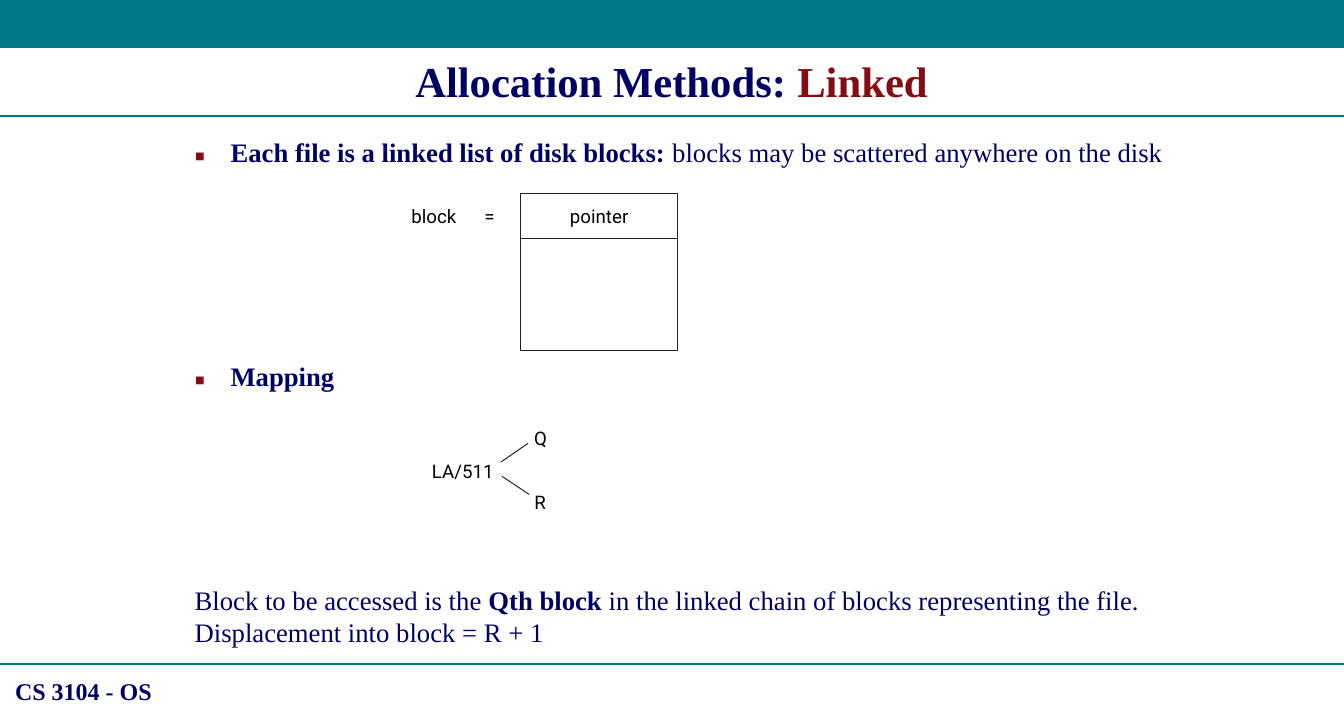
"""Build the slide on linked file allocation."""
from lxml.etree import SubElement
from pptx import Presentation
from pptx.dml.color import RGBColor
from pptx.enum.shapes import MSO_CONNECTOR, MSO_SHAPE
from pptx.enum.text import MSO_ANCHOR, PP_ALIGN
from pptx.oxml.ns import qn
from pptx.util import Cm, Pt

COLOURS = {"teal": "007787", "navy": "000066", "maroon": "850D11",
           "ink": "231F20", "black": "000000", "white": "FFFFFF"}
SERIF, SANS, SYMBOLS = "Times New Roman", "Roboto", "Noto Sans Symbols"
WIDTH, HEIGHT = 35.56, 19.05
LINE = 24


def colour(name):
    return RGBColor.from_string(COLOURS[name])


def write(para, text, *, size=20, font=SERIF, ink="navy", bold=False):
    span = para.add_run()
    span.text = text
    span.font.size = Pt(size)
    span.font.name = font
    span.font.bold = bold
    span.font.color.rgb = colour(ink)


class Slide:
    def __init__(self, page):
        self.page = page
        self.label_style = {"size": 14, "font": SANS, "ink": "black"}

    def rectangle(self, left, top, width, height, fill, line=None):
        box = self.page.shapes.add_shape(
            MSO_SHAPE.RECTANGLE, Cm(left), Cm(top), Cm(width), Cm(height))
        box.shadow.inherit = False
        box.fill.solid()
        box.fill.fore_color.rgb = colour(fill)
        if line:
            box.line.color.rgb = colour(line)
            box.line.width = Pt(0.75)
        else:
            box.line.fill.background()
        return box

    def line(self, start, end, ink="ink", width=0.75):
        connector = self.page.shapes.add_connector(
            MSO_CONNECTOR.STRAIGHT, *map(Cm, start + end))
        connector.line.color.rgb = colour(ink)
        connector.line.width = Pt(width)
        SubElement(connector._element.spPr, qn("a:effectLst"))

    def text_box(self, left, top, width, height):
        box = self.page.shapes.add_textbox(Cm(left), Cm(top), Cm(width), Cm(height))
        box.text_frame.word_wrap = True
        return box.text_frame

    def label(self, frame, text):
        frame.word_wrap = False
        frame.vertical_anchor = MSO_ANCHOR.MIDDLE
        para = frame.paragraphs[0]
        para.alignment = PP_ALIGN.CENTER
        write(para, text, **self.label_style)

    def bullet(self, para):
        para.alignment = PP_ALIGN.JUSTIFY
        props = para._p.get_or_add_pPr()
        props.set("marL", str(Cm(0.95)))
        props.set("indent", str(-Cm(0.95)))
        tint = SubElement(props, qn("a:buClr"))
        SubElement(tint, qn("a:srgbClr"), val=COLOURS["maroon"])
        SubElement(props, qn("a:buFont"), typeface=SYMBOLS)
        SubElement(props, qn("a:buChar"), char="▪")

    def body(self, items):
        frame = self.text_box(4.9, 3.48, 26.4, 13.94)
        for index, (bulleted, skipped_lines, spans) in enumerate(items):
            para = frame.add_paragraph() if index else frame.paragraphs[0]
            if bulleted:
                self.bullet(para)
            para.line_spacing = Pt(LINE)
            if skipped_lines:
                para.space_before = Pt(LINE * skipped_lines)
            for text, bold in spans:
                write(para, text, bold=bold)


def main():
    deck = Presentation()
    deck.slide_width, deck.slide_height = Cm(WIDTH), Cm(HEIGHT)
    slide = Slide(deck.slides.add_slide(deck.slide_layouts[6]))

    slide.rectangle(0, 0, WIDTH, 1.27, "teal")
    slide.rectangle(0, 3.05, WIDTH, 0.05, "teal")
    slide.line((0, 17.57), (WIDTH, 17.57), "teal", 1.25)
    footer = slide.text_box(0.15, 17.78, 4.72, 1.02)
    write(footer.paragraphs[0], "CS 3104 - OS", size=18, bold=True)

    title = slide.text_box(0.27, 1.32, 35, 1.63).paragraphs[0]
    title.alignment = PP_ALIGN.CENTER
    write(title, "Allocation Methods: ", size=32, bold=True)
    write(title, "Linked", size=32, bold=True, ink="maroon")

    slide.body([
        (True, 0, [("Each file is a linked list of disk blocks:", True),
                   (" blocks may be scattered anywhere on the disk", False)]),
        (True, 6, [("Mapping", True)]),
        (False, 6, [("Block to be accessed is the ", False), ("Qth block ", True),
                    ("in the linked chain of blocks representing the file.", False)]),
        (False, 0, [("Displacement into block = R + 1", False)]),
    ])

    pointer = slide.rectangle(13.77, 5.13, 4.17, 1.19, "white", "ink")
    slide.label(pointer.text_frame, "pointer")
    slide.rectangle(13.77, 6.32, 4.17, 2.96, "white", "ink")

    for text, left, top, width in (
            ("block", 10.48, 5.21, 2), ("=", 12.45, 5.21, 1),
            ("LA/511", 11, 11.95, 2.49),
            ("Q", 13.8, 11.07, 1), ("R", 13.79, 12.78, 1)):
        slide.label(slide.text_box(left, top, width, 1.02), text)
    slide.line((13.26, 12.22), (13.97, 11.73))
    slide.line((13.28, 12.6), (14, 13.08))

    deck.save("out.pptx")


if __name__ == "__main__":
    main()
